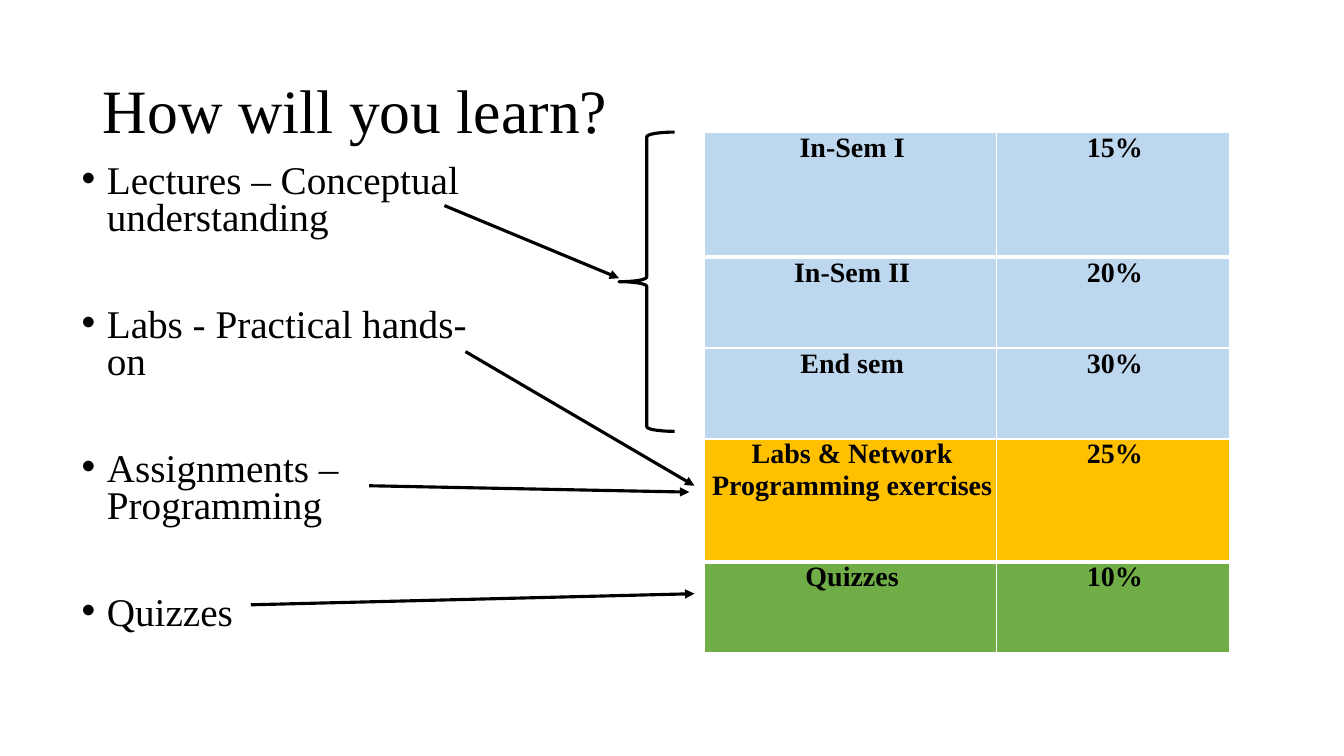
from dataclasses import dataclass

from pptx import Presentation
from pptx import util as u
from pptx.dml.color import RGBColor
from pptx.enum import shapes, text
from pptx.oxml import parse_xml
from pptx.oxml.ns import nsdecls, qn
from pptx.util import Cm


@dataclass(frozen=True)
class Theme:
    font: str = "Times New Roman"
    ink: str = "000000"
    border: str = "FFFFFF"
    exam: str = "BDD7EE"
    practical: str = "FFC000"
    quiz: str = "70AD47"
    title_size: int = 44
    body_size: int = 28
    cell_size: int = 20
    line_width: float = 2.25


THEME = Theme()

ACTIVITIES = [
    "Lectures – Conceptual understanding",
    "Labs - Practical hands-on",
    "Assignments – Programming",
    "Quizzes",
]

ASSESSMENTS = [
    ("In-Sem I", "15%", 3.15, THEME.exam),
    ("In-Sem II", "20%", 2.29, THEME.exam),
    ("End sem", "30%", 2.29, THEME.exam),
    ("Labs & Network Programming exercises", "25%", 3.1, THEME.practical),
    ("Quizzes", "10%", 2.29, THEME.quiz),
]
COLUMN_WIDTHS = (7.37, 5.87)
THICK_RULES = (1, 4)

ARROWS = [
    (11.2, 5.18, 15.6, 7.01),
    (11.73, 8.86, 17.5, 12.24),
    (9.3, 12.24, 17.37, 12.4),
    (6.32, 15.24, 17.5, 14.96),
]


def color(value):
    return RGBColor.from_string(value)


def place(shape, left, top, width, height):
    shape.left, shape.top = Cm(left), Cm(top)
    shape.width, shape.height = Cm(width), Cm(height)


def format_runs(paragraph, size, bold=False):
    for run in paragraph.runs:
        run.font.name = THEME.font
        run.font.size = u.Pt(size)
        run.font.bold = bold
        run.font.color.rgb = color(THEME.ink)


def style_line(line):
    line.color.rgb = color(THEME.ink)
    line.width = u.Pt(THEME.line_width)


def fill_title(title, wording):
    place(title, 2.34, 1.02, 29.21, 3.68)
    frame = title.text_frame
    frame.text = wording
    frame.auto_size = text.MSO_AUTO_SIZE.NONE
    frame.vertical_anchor = text.MSO_ANCHOR.MIDDLE
    paragraph = frame.paragraphs[0]
    paragraph.alignment = text.PP_ALIGN.LEFT
    paragraph.line_spacing = 0.9
    format_runs(paragraph, THEME.title_size)


def fill_list(body, items):
    place(body, 1.8, 4.01, 10.8, 12.09)
    frame = body.text_frame
    frame.text = "\n".join(items)
    frame.auto_size = text.MSO_AUTO_SIZE.NONE
    for index, paragraph in enumerate(frame.paragraphs):
        paragraph.line_spacing = 0.8
        paragraph.space_before = u.Pt(49 if index else 10)
        properties = paragraph._p.get_or_add_pPr()
        properties.set("marL", str(Cm(0.64)))
        properties.set("indent", str(-Cm(0.64)))
        format_runs(paragraph, THEME.body_size)


def add_borders(cell, top_width, bottom_width):
    properties = cell._tc.get_or_add_tcPr()
    widths = {"lnL": 1, "lnR": 1, "lnT": top_width, "lnB": bottom_width}
    for index, (side, width) in enumerate(widths.items()):
        properties.insert(index, parse_xml(
            f'<a:{side} {nsdecls("a")} w="{u.Pt(width)}"><a:solidFill>'
            f'<a:srgbClr val="{THEME.border}"/></a:solidFill></a:{side}>'))


def fill_cell(cell, wording, fill):
    cell.margin_left = cell.margin_right = cell.margin_top = cell.margin_bottom = 0
    cell.fill.solid()
    cell.fill.fore_color.rgb = color(fill)
    cell.text_frame.text = wording
    paragraph = cell.text_frame.paragraphs[0]
    paragraph.alignment = text.PP_ALIGN.CENTER
    paragraph.space_before = u.Pt(3)
    paragraph._p.get_or_add_pPr().set("marL", str(Cm(0.08)))
    format_runs(paragraph, THEME.cell_size, bold=True)


def add_assessment_table(slide):
    height = sum(row[2] for row in ASSESSMENTS)
    table = slide.shapes.add_table(
        len(ASSESSMENTS), len(COLUMN_WIDTHS),
        Cm(17.75), Cm(3.33), Cm(sum(COLUMN_WIDTHS)), Cm(height)).table
    for column, width in zip(table.columns, COLUMN_WIDTHS):
        column.width = Cm(width)
    for index, (name, share, row_height, fill) in enumerate(ASSESSMENTS):
        table.rows[index].height = Cm(row_height)
        top, bottom = (3 if rule in THICK_RULES else 1 for rule in (index, index + 1))
        for column, wording in enumerate((name, share)):
            cell = table.cell(index, column)
            fill_cell(cell, wording, fill)
            add_borders(cell, top, bottom)


def add_brace(slide):
    brace = slide.shapes.add_shape(
        shapes.MSO_SHAPE.LEFT_BRACE, Cm(15.6), Cm(3.33), Cm(1.4), Cm(7.54))
    brace.shadow.inherit = False
    brace.fill.background()
    style_line(brace.line)


def add_arrow(slide, *ends):
    arrow = slide.shapes.add_connector(
        shapes.MSO_CONNECTOR.STRAIGHT, *(Cm(end) for end in ends))
    style_line(arrow.line)
    arrow.line._get_or_add_ln().append(
        parse_xml(f'<a:tailEnd {nsdecls("a")} type="triangle"/>'))
    properties = arrow._element.spPr
    properties.append(properties.makeelement(qn("a:effectLst"), {}))


def main():
    presentation = Presentation()
    presentation.slide_width, presentation.slide_height = Cm(33.87), Cm(19.05)
    slide = presentation.slides.add_slide(presentation.slide_layouts[1])
    fill_title(slide.shapes.title, "How will you learn?")
    fill_list(slide.placeholders[1], ACTIVITIES)
    add_assessment_table(slide)
    add_brace(slide)
    for ends in ARROWS:
        add_arrow(slide, *ends)
    presentation.save("out.pptx")


if __name__ == "__main__":
    main()
